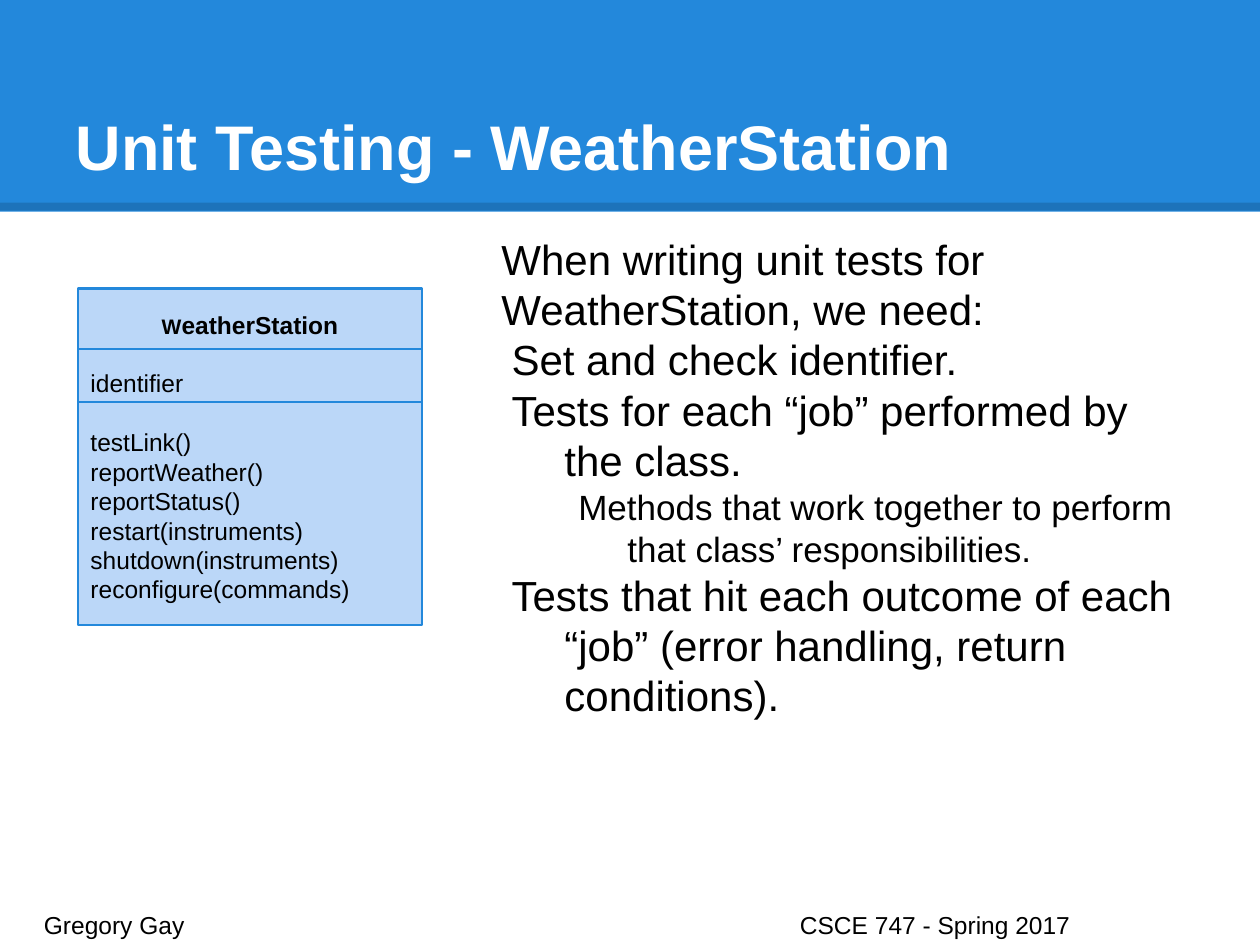
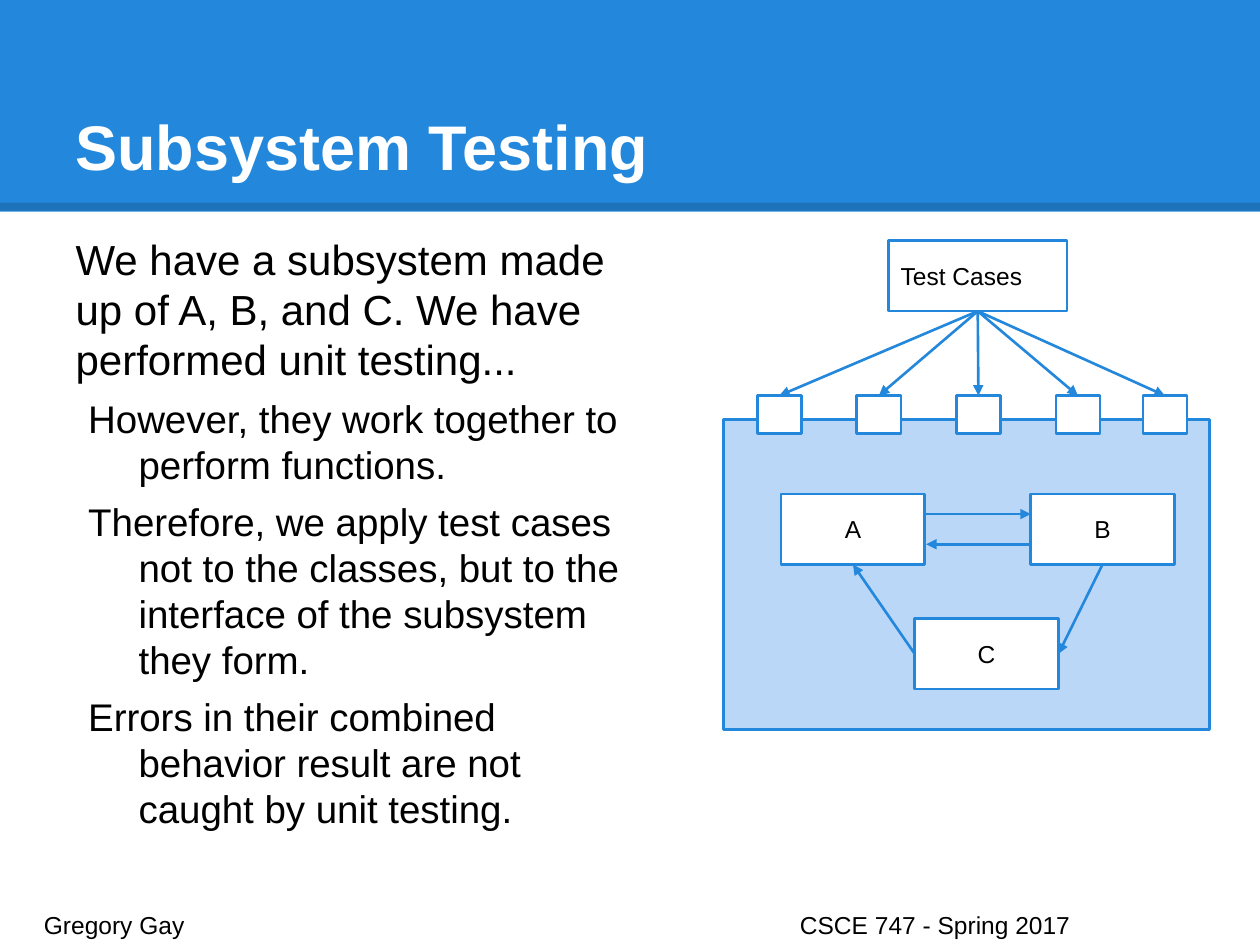
from lxml import etree
from pptx import Presentation
from pptx import util as u
from pptx.dml import color
from pptx.enum import shapes, text
from pptx.oxml import ns

COLUMNS, ROWS = 100, 75
TOP, LEFT, BOTTOM, RIGHT = range(4)


def paint(target, hex_code):
    target.rgb = color.RGBColor.from_string(hex_code)


def add_xml(parent, tag, **attributes):
    return etree.SubElement(parent, ns.qn(tag), attributes)


class Deck:
    FONT = "Arial"
    BLUE, PALE, WHITE, BLACK = "2388DB", "BBD7F8", "FFFFFF", "000000"
    LINE = 1.5

    def __init__(self):
        self.deck = Presentation()
        self.deck.slide_width, self.deck.slide_height = u.Inches(10), u.Inches(7.5)
        self.layout = self.deck.slide_layouts[1]
        self.page = None

    def x(self, columns):
        return u.Emu(round(self.deck.slide_width * columns / COLUMNS))

    def y(self, rows):
        return u.Emu(round(self.deck.slide_height * rows / ROWS))

    def area(self, left, top, width, height):
        return self.x(left), self.y(top), self.x(width), self.y(height)

    def start_page(self, title):
        first = self.page is None
        self.page = self.deck.slides.add_slide(self.layout)
        if first:
            self.share_band()
        holder = self.page.shapes.title
        self.place(holder, 5, 3, 90, 12.5)
        frame = self.frame(holder, text.MSO_ANCHOR.BOTTOM)
        self.add_spans(frame.paragraphs[0], [(title, 36)], hue=self.WHITE, bold=True)

    def share_band(self):
        band = self.box(0, 0, 100, 16.8, self.BLUE, outlined=False)
        rule = self.line(0, 16.4, 100, 16.4, self.BLACK, 4.5)
        shade = rule._element.spPr.find(".//" + ns.qn("a:srgbClr"))
        add_xml(shade, "a:alpha", val="15000")
        tree = self.layout.shapes._spTree
        for position, shape in enumerate((band, rule), 2):
            tree.insert(position, shape._element)

    def place(self, shape, *grid):
        shape.left, shape.top, shape.width, shape.height = self.area(*grid)

    def frame(self, shape, anchor):
        frame = shape.text_frame
        frame.word_wrap = True
        frame.auto_size = text.MSO_AUTO_SIZE.NONE
        frame.vertical_anchor = anchor
        frame.margin_left = frame.margin_right = u.Inches(0.1)
        frame.margin_top = frame.margin_bottom = u.Inches(0.1)
        return frame

    def add_spans(self, para, spans, hue=BLACK, bold=False, align=text.PP_ALIGN.LEFT, before=0):
        para.alignment = align
        para.space_before = u.Pt(before)
        for words, size in spans:
            span = para.add_run()
            span.text = words
            span.font.name, span.font.size, span.font.bold = self.FONT, u.Pt(size), bold
            paint(span.font.color, hue)

    def paragraphs(self, frame, count):
        return [frame.paragraphs[0]] + [frame.add_paragraph() for _ in range(count - 1)]

    def body(self, grid, items, before=0):
        holder = self.page.placeholders[1]
        self.place(holder, *grid)
        frame = self.frame(holder, text.MSO_ANCHOR.TOP)
        for para, (words, size, margin, hang) in zip(self.paragraphs(frame, len(items)), items):
            para.level = 1 if margin == 1 else 0
            self.add_spans(para, [(words, size)], before=before)
            properties = para._p.get_or_add_pPr()
            properties.set("marL", str(u.Inches(margin)))
            properties.set("indent", str(-u.Inches(hang)))
            add_xml(properties, "a:buNone")

    def box(self, left, top, width, height, fill=WHITE, label="",
            align=text.PP_ALIGN.CENTER, outlined=True):
        box = self.page.shapes.add_shape(
            shapes.MSO_SHAPE.RECTANGLE, *self.area(left, top, width, height))
        box.shadow.inherit = False
        box.fill.solid()
        paint(box.fill.fore_color, fill)
        if outlined:
            paint(box.line.color, self.BLUE)
            box.line.width = u.Pt(self.LINE)
        else:
            box.line.fill.background()
        if label:
            frame = self.frame(box, text.MSO_ANCHOR.MIDDLE)
            self.add_spans(frame.paragraphs[0], [(label, 14)], align=align)
        return box

    def line(self, x1, y1, x2, y2, hue=BLUE, weight=LINE, arrow=False):
        line = self.page.shapes.add_connector(
            shapes.MSO_CONNECTOR.STRAIGHT, self.x(x1), self.y(y1), self.x(x2), self.y(y2))
        paint(line.line.color, hue)
        line.line.width = u.Pt(weight)
        properties = line._element.spPr
        if arrow:
            add_xml(properties.find(ns.qn("a:ln")), "a:tailEnd", type="triangle")
        add_xml(properties, "a:effectLst")
        return line

    def link(self, start, start_side, end, end_side):
        line = self.line(0, 0, 1, 1, arrow=True)
        line.begin_connect(start, start_side)
        line.end_connect(end, end_side)

    def class_box(self, left, top, width, height, name, fields, methods, dividers):
        box = self.box(left, top, width, height, self.PALE)
        frame = self.frame(box, text.MSO_ANCHOR.MIDDLE)
        members = fields + methods
        heading, *rows = self.paragraphs(frame, 1 + len(members))
        self.add_spans(heading, [(name[0], 12), (name[1:], 14)], bold=True,
                       align=text.PP_ALIGN.CENTER)
        for para, member in zip(rows, members):
            opens_section = member in (fields[0], methods[0])
            self.add_spans(para, [(member, 14)], before=16.8 if opens_section else 0)
        for row in dividers:
            self.line(left, row, left + width, row)

    def footer(self, author, course):
        box = self.page.shapes.add_textbox(*self.area(2.5, 71.2, 95.1, 3))
        para = self.frame(box, text.MSO_ANCHOR.TOP).paragraphs[0]
        self.add_spans(para, [(author + "\t" + course, 14)])
        stops = add_xml(para._p.get_or_add_pPr(), "a:tabLst")
        add_xml(stops, "a:tab", pos=str(self.x(60)), algn="l")


talk = Deck()
FOOTER = "Gregory Gay", "CSCE 747 - Spring 2017"

talk.start_page("Unit Testing - WeatherStation")
talk.body((38.8, 17.5, 56.2, 54.3), [
    ("When writing unit tests for WeatherStation, we need:", 24, 0, 0),
    ("Set and check identifier.", 24, 0.5, 0.42),
    ("Tests for each “job” performed by the class.", 24, 0.5, 0.42),
    ("Methods that work together to perform that class’ responsibilities.", 20, 1, 0.39),
    ("Tests that hit each outcome of each “job” (error handling, return conditions).",
     24, 0.5, 0.42),
])
talk.class_box(
    6.2, 22.9, 27.3, 26.7, "WeatherStation", ["identifier"],
    ["testLink()", "reportWeather()", "reportStatus()", "restart(instruments)",
     "shutdown(instruments)", "reconfigure(commands)"],
    dividers=(27.7, 31.9))
talk.footer(*FOOTER)

talk.start_page("Subsystem Testing")
talk.body((5, 17.5, 47.2, 54.3), [
    ("We have a subsystem made up of A, B, and C. We have performed unit testing...", 24, 0, 0),
    ("However, they work together to perform functions.", 22, 0.5, 0.4),
    ("Therefore, we apply test cases not to the classes, but to the interface of the "
     "subsystem they form.", 22, 0.5, 0.4),
    ("Errors in their combined behavior result are not caught by unit testing.", 22, 0.5, 0.4),
], before=6)
talk.box(57.4, 33.3, 38.6, 24.6, talk.PALE)
unit_a, unit_c, unit_b = [
    talk.box(left, top, 11.4, 5.6, label=name)
    for name, left, top in (("A", 62, 39.2), ("C", 72.6, 49.1), ("B", 81.8, 39.2))]
talk.line(73.5, 40.8, 81.8, 40.8, arrow=True)
talk.link(unit_b, BOTTOM, unit_c, RIGHT)
talk.link(unit_c, LEFT, unit_a, BOTTOM)
talk.line(81.8, 43.2, 73.5, 43.2, arrow=True)
cases = talk.box(70.5, 19.1, 14.2, 5.6, label="Test Cases", align=text.PP_ALIGN.LEFT)
ports = [talk.box(left, 31.4, 3.5, 3) for left in (60.1, 68, 75.9, 83.8, 90.7)]
for port in ports:
    talk.link(cases, BOTTOM, port, TOP)
talk.footer(*FOOTER)

talk.deck.save("out.pptx")
